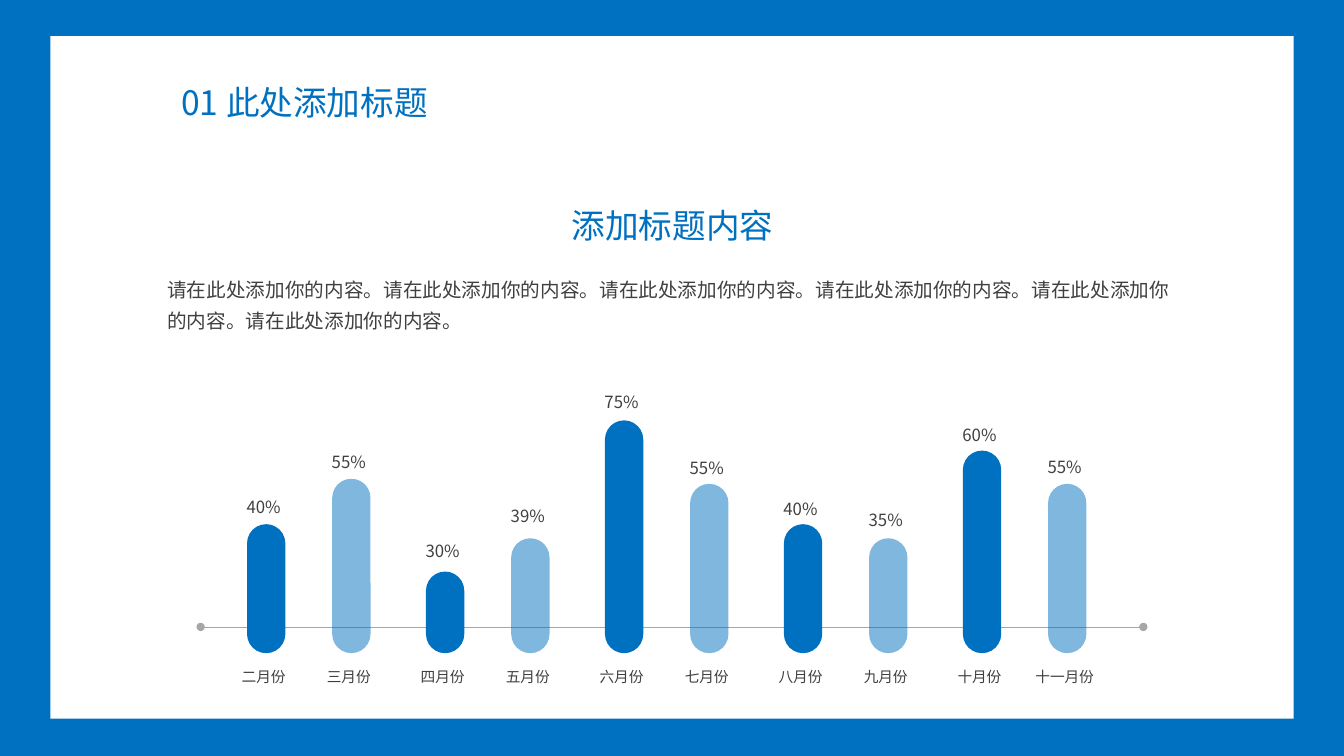
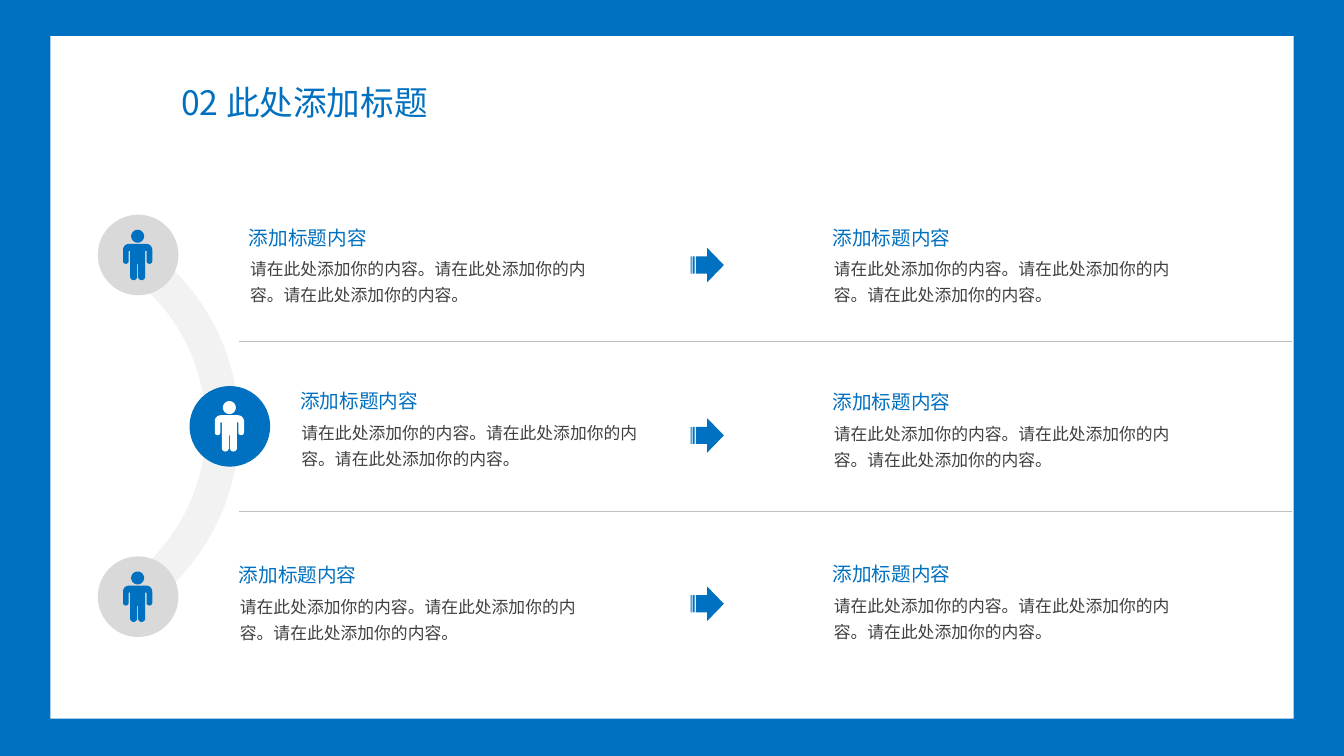
from math import cos, radians, sin

from pptx import Presentation
from pptx.dml.color import RGBColor
from pptx.enum.shapes import MSO_CONNECTOR, MSO_SHAPE
from pptx.enum.text import PP_ALIGN
from pptx.oxml.ns import qn
from pptx.util import Inches, Pt
from lxml.etree import SubElement

FONT = "Noto Sans CJK SC"
COLORS = {
    "blue": "0070C0",
    "white": "FFFFFF",
    "text": "404040",
    "axis": "A6A6A6",
    "divider": "BFBFBF",
    "disc": "D9D9D9",
    "arc": "F2F2F2",
}
HEADING = "添加标题内容"
SENTENCE = "请在此处添加你的内容。"
MONTHS = [
    ("二月份", "40%", 1.28, 0.32),
    ("三月份", "55%", 1.73, 0.32),
    ("四月份", "30%", 0.81, 0.35),
    ("五月份", "39%", 1.14, 0.37),
    ("六月份", "75%", 2.31, 0.33),
    ("七月份", "55%", 1.68, 0.31),
    ("八月份", "40%", 1.28, 0.3),
    ("九月份", "35%", 1.14, 0.33),
    ("十月份", "60%", 2.01, 0.31),
    ("十一月份", "55%", 1.68, 0.32),
]
ROWS = [
    {"disc": (0.97, 2.13), "fill": "disc", "person": "blue",
     "texts": [(2.37, 2.19), (8.16, 2.19)], "arrow": 2.46},
    {"disc": (1.88, 3.83), "fill": "blue", "person": "white",
     "texts": [(2.88, 3.81), (8.16, 3.82)], "arrow": 4.15},
    {"disc": (0.97, 5.52), "fill": "disc", "person": "blue",
     "texts": [(2.27, 5.54), (8.16, 5.53)], "arrow": 5.82},
]


def rgb(name):
    """Return the named colour."""
    return RGBColor.from_string(COLORS[name])


def paint(shape, color, opacity=100):
    """Give a shape a flat fill without outline or shadow."""
    shape.shadow.inherit = False
    shape.line.fill.background()
    shape.fill.solid()
    shape.fill.fore_color.rgb = rgb(color)
    if opacity < 100:
        tint = shape.fill._xPr.find(qn("a:solidFill"))[0]
        SubElement(tint, qn("a:alpha"), val=str(opacity * 1000))
    return shape


def add_block(slide, kind, left, top, width, height, color, opacity=100):
    """Add a filled preset shape."""
    block = slide.shapes.add_shape(
        kind, Inches(left), Inches(top), Inches(width), Inches(height))
    return paint(block, color, opacity)


def add_text(slide, text, left, top, width, height, size, color="text",
             align=PP_ALIGN.LEFT, inset=True, spacing=None):
    """Add a one-paragraph text box."""
    box = slide.shapes.add_textbox(
        Inches(left), Inches(top), Inches(width), Inches(height))
    frame = box.text_frame
    frame.word_wrap = True
    if not inset:
        frame.margin_left = frame.margin_right = 0
        frame.margin_top = frame.margin_bottom = 0
    paragraph = frame.paragraphs[0]
    paragraph.text = text
    paragraph.alignment = align
    if spacing:
        paragraph.line_spacing = spacing
    font = paragraph.font
    font.size = Pt(size)
    font.color.rgb = rgb(color)
    font.name = FONT
    SubElement(font._rPr, qn("a:ea"), typeface=FONT)


def add_rule(slide, left, right, top, color, weight, dotted_ends=False):
    """Add a horizontal line, with round ends if asked."""
    rule = slide.shapes.add_connector(
        MSO_CONNECTOR.STRAIGHT,
        Inches(left), Inches(top), Inches(right), Inches(top))
    rule.line.color.rgb = rgb(color)
    rule.line.width = Pt(weight)
    if dotted_ends:
        outline = rule.line._get_or_add_ln()
        for end in ("a:headEnd", "a:tailEnd"):
            SubElement(outline, qn(end), type="oval")
    SubElement(rule._element.spPr, qn("a:effectLst"))


def add_page(deck, title):
    """Add a slide with the white panel and its title."""
    slide = deck.slides.add_slide(deck.slide_layouts[6])
    add_block(slide, MSO_SHAPE.RECTANGLE, 0.5, 0.36, 12.33, 6.77, "white")
    add_text(slide, title, 1.7, 0.76, 2.88, 0.5, 24, "blue")
    return slide


def add_month_bars(slide, left, bottom):
    """Draw paired monthly bars standing on a shared bottom edge."""
    pair_pitch, bar_pitch, bar_width = 7.1 / 4, 0.845, 0.38
    add_rule(slide, left - 0.46, left + 8.89, bottom - 0.26, "axis", 0.5, True)
    for index, (month, value, height, gap) in enumerate(MONTHS):
        pair, second = divmod(index, 2)
        bar_left = left + pair * pair_pitch + second * bar_pitch
        bar_top = bottom - height
        bar = add_block(slide, MSO_SHAPE.ROUNDED_RECTANGLE, bar_left, bar_top,
                        bar_width, height, "blue", 50 if second else 100)
        bar.adjustments[0] = 0.5
        add_text(slide, month, bar_left - 0.3, bottom + 0.1, 0.93, 0.28, 10.5,
                 align=PP_ALIGN.CENTER)
        add_text(slide, value, bar_left - 0.3, bar_top - gap, 0.93, 0.3, 12,
                 align=PP_ALIGN.CENTER)


def arc(center_x, center_y, radius, start, end, steps=12):
    """Return points along an arc, in degrees clockwise from the right."""
    angles = [radians(start + (end - start) * step / steps)
              for step in range(steps + 1)]
    return [(center_x + radius * cos(angle), center_y + radius * sin(angle))
            for angle in angles]


def add_person(slide, left, top, color):
    """Draw a standing figure from a round head and a mirrored body."""
    width = 290
    head = arc(width / 2, 64, 64, 0, 360, 36)
    half = (arc(60, 200, 60, 270, 180) + arc(28, 310, 28, 180, 0)
            + [(56, 210), (70, 210)] + arc(105, 465, 35, 180, 0) + [(140, 340)])
    body = half + [(width - x, y) for x, y in reversed(half)]
    builder = slide.shapes.build_freeform(*head[0], scale=Inches(1) / 1000)
    builder.add_line_segments(head[1:], close=True)
    builder.move_to(*body[0])
    builder.add_line_segments(body[1:], close=True)
    paint(builder.convert_to_shape(Inches(left), Inches(top)), color)


def add_entry(slide, left, top):
    """Add a small heading with its paragraph."""
    add_text(slide, SENTENCE * 3, left + 0.11, top + 0.32, 3.43, 0.5, 12,
             inset=False, spacing=1.3)
    add_text(slide, HEADING, left, top, 2.68, 0.34, 14, "blue")


def add_row(slide, row):
    """Add one row: figure on a disc, two entries and the arrow between."""
    left, top = row["disc"]
    add_block(slide, MSO_SHAPE.OVAL, left, top, 0.8, 0.8, row["fill"])
    add_person(slide, left + 0.25, top + 0.15, row["person"])
    for entry_left, entry_top in row["texts"]:
        add_entry(slide, entry_left, entry_top)
    add_block(slide, MSO_SHAPE.STRIPED_RIGHT_ARROW, 6.85, row["arrow"],
              0.33, 0.34, "blue")


def build_months(deck):
    """Build the slide with the monthly bars."""
    slide = add_page(deck, "01 此处添加标题")
    add_month_bars(slide, 2.45, 6.48)
    add_text(slide, SENTENCE * 6, 1.66, 2.69, 10.01, 0.58, 14,
             inset=False, spacing=1.3)
    add_text(slide, HEADING, 5.33, 1.98, 2.68, 0.5, 24, "blue",
             PP_ALIGN.CENTER)


def build_people(deck):
    """Build the slide with three figures along an arc."""
    slide = add_page(deck, "02 此处添加标题")
    band = add_block(slide, MSO_SHAPE.BLOCK_ARC, -2.02, 2.04, 4.39, 4.39, "arc")
    band.rotation = 90
    for index, setting in enumerate((129.06, 193.79, 0.075)):
        band.adjustments[index] = setting
    for top in (3.38, 5.07):
        add_rule(slide, 2.37, 12.81, top, "divider", 0.25)
    for row in ROWS:
        add_row(slide, row)


def main():
    """Build and save the presentation."""
    deck = Presentation()
    deck.slide_width, deck.slide_height = Inches(13.33), Inches(7.5)
    backdrop = deck.slide_master.background.fill
    backdrop.solid()
    backdrop.fore_color.rgb = rgb("blue")
    build_months(deck)
    build_people(deck)
    deck.save("out.pptx")


if __name__ == "__main__":
    main()
